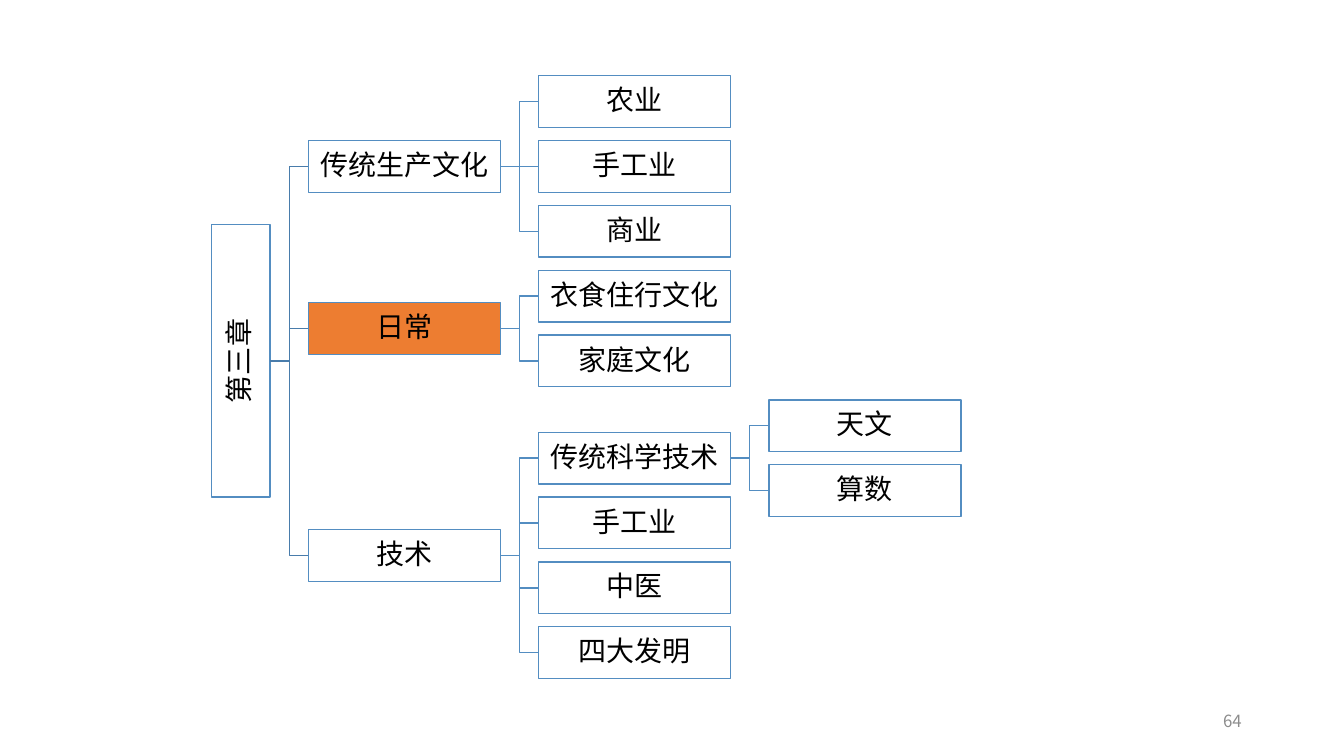
from lxml.etree import SubElement
from pptx import Presentation
from pptx.dml.color import RGBColor
from pptx.enum.shapes import MSO_CONNECTOR, MSO_SHAPE
from pptx.enum.text import MSO_ANCHOR, PP_ALIGN
from pptx.oxml.ns import qn
from pptx.util import Pt

WHITE = RGBColor(0xFF, 0xFF, 0xFF)
BLACK = RGBColor(0x00, 0x00, 0x00)
ORANGE = RGBColor(0xED, 0x7D, 0x31)
GRAY = RGBColor(0x8C, 0x8C, 0x8C)
BLUE = RGBColor(0x53, 0x8D, 0xC1)
DARK_BLUE = RGBColor(0x49, 0x7C, 0xAB)

NODE_WIDTH, NODE_HEIGHT = 137.1, 37
COLUMN_GAP, ROW_PITCH = 27.4, 46.3
FIRST_COLUMN, FIRST_CENTER = 220.3, 72.6
ROOT_WIDTH, ROOT_HEIGHT, ROOT_ROW = 42, 194.6, 4
RIGHT_SIDE, LEFT_SIDE = 3, 1

# (row, label, fill, children); each child is (label, its own children)
BRANCHES = [
    (1, "传统生产文化", WHITE, [("农业", []), ("手工业", []), ("商业", [])]),
    (3.5, "日常", ORANGE, [("衣食住行文化", []), ("家庭文化", [])]),
    (7, "技术", WHITE, [
        ("传统科学技术", [("天文", []), ("算数", [])]),
        ("手工业", []),
        ("中医", []),
        ("四大发明", []),
    ]),
]


class TreeSlide:
    font_name = "Noto Sans CJK SC"

    def __init__(self, slide):
        self.shapes = slide.shapes

    def set_text(self, shape, text, size, color, alignment):
        frame = shape.text_frame
        frame.text = text
        frame.word_wrap = True
        frame.vertical_anchor = MSO_ANCHOR.MIDDLE
        para = frame.paragraphs[0]
        para.alignment = alignment
        span = para.runs[0]
        span.font.size = Pt(size)
        span.font.color.rgb = color
        span.font.name = self.font_name
        SubElement(span.font._element, qn("a:ea"), typeface=self.font_name)

    def box(self, text, left, row, width=NODE_WIDTH, height=NODE_HEIGHT, fill=WHITE):
        """Draw a labelled rectangle centred vertically on a row."""
        top = FIRST_CENTER + row * ROW_PITCH - height / 2
        box = self.shapes.add_shape(
            MSO_SHAPE.RECTANGLE, Pt(left), Pt(top), Pt(width), Pt(height))
        box.shadow.inherit = False
        box.fill.solid()
        box.fill.fore_color.rgb = fill
        box.line.color.rgb = BLUE
        box.line.width = Pt(1)
        self.set_text(box, text, 20, BLACK, PP_ALIGN.CENTER)
        frame = box.text_frame
        frame.margin_left = frame.margin_right = Pt(1)
        frame.margin_top = frame.margin_bottom = Pt(1)
        frame.paragraphs[0].line_spacing = 0.9
        return box

    def link(self, parent, child, straight, color):
        kind = MSO_CONNECTOR.STRAIGHT if straight else MSO_CONNECTOR.ELBOW
        link = self.shapes.add_connector(kind, 0, 0, 0, 0)
        link.begin_connect(parent, RIGHT_SIDE)
        link.end_connect(child, LEFT_SIDE)
        link.line.color.rgb = color
        link.line.width = Pt(1)
        SubElement(link._element.spPr, qn("a:effectLst"))

    def subtree(self, parent, parent_row, column, children):
        """Spread children one row apart, centred on their parent's row."""
        left = FIRST_COLUMN + column * (NODE_WIDTH + COLUMN_GAP)
        first_row = parent_row - (len(children) - 1) / 2
        for row_step, (label, grandchildren) in enumerate(children):
            row = first_row + row_step
            child = self.box(label, left, row)
            self.link(parent, child, row == parent_row, BLUE)
            self.subtree(child, row, column + 1, grandchildren)

    def page_number(self, text):
        box = self.shapes.add_textbox(Pt(678), Pt(500.5), Pt(216), Pt(28.75))
        self.set_text(box, text, 12, GRAY, PP_ALIGN.RIGHT)


def main():
    deck = Presentation()
    deck.slide_width, deck.slide_height = Pt(960), Pt(540)
    page = TreeSlide(deck.slides.add_slide(deck.slide_layouts[6]))

    root = page.box("第三章", FIRST_COLUMN - COLUMN_GAP - ROOT_WIDTH, ROOT_ROW,
                    ROOT_WIDTH, ROOT_HEIGHT)
    root.text_frame._txBody.bodyPr.set("vert", "vert270")
    for row, label, fill, children in BRANCHES:
        branch = page.box(label, FIRST_COLUMN, row, fill=fill)
        page.link(root, branch, False, DARK_BLUE)
        page.subtree(branch, row, 1, children)
    page.page_number("64")

    deck.save("out.pptx")


if __name__ == "__main__":
    main()
